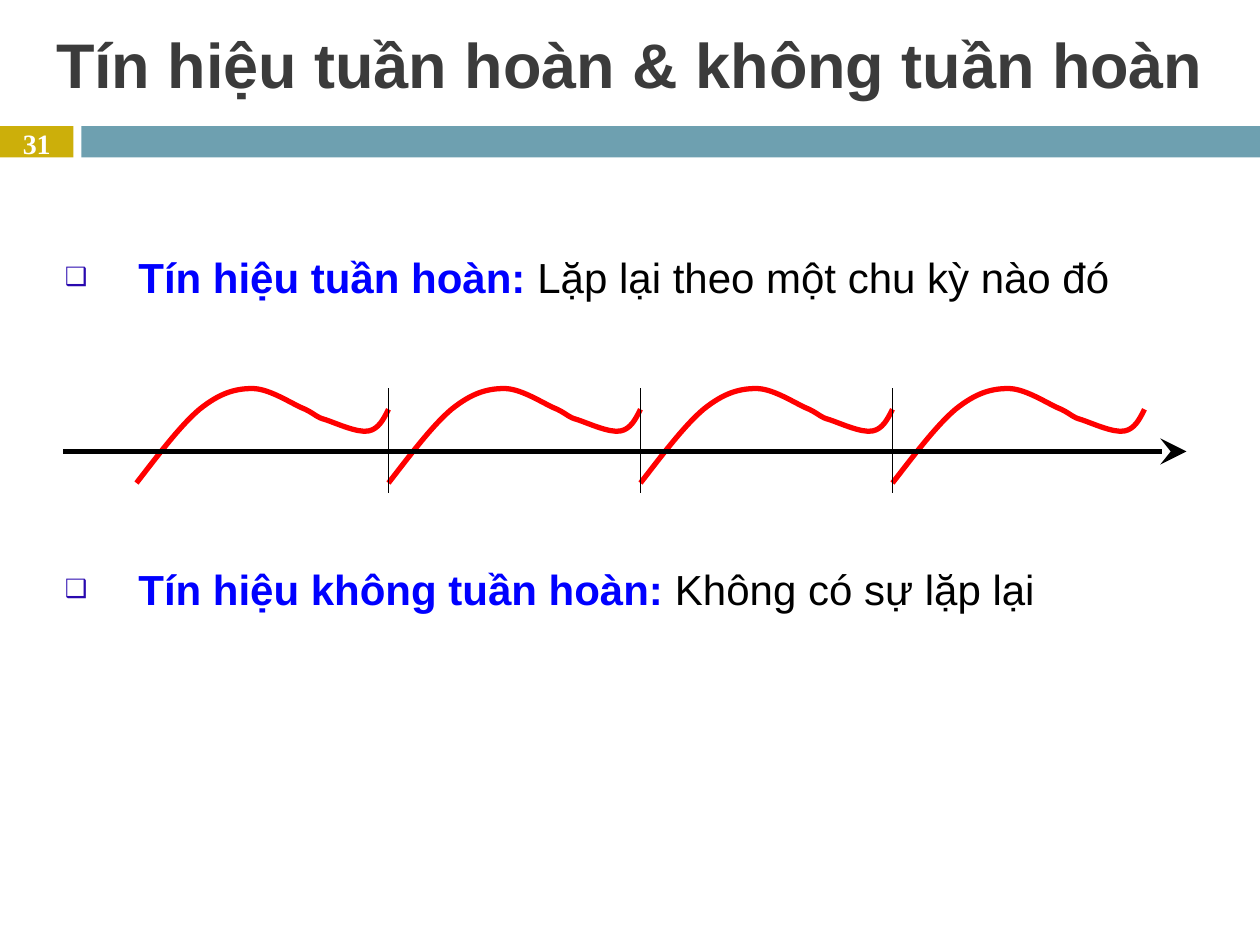
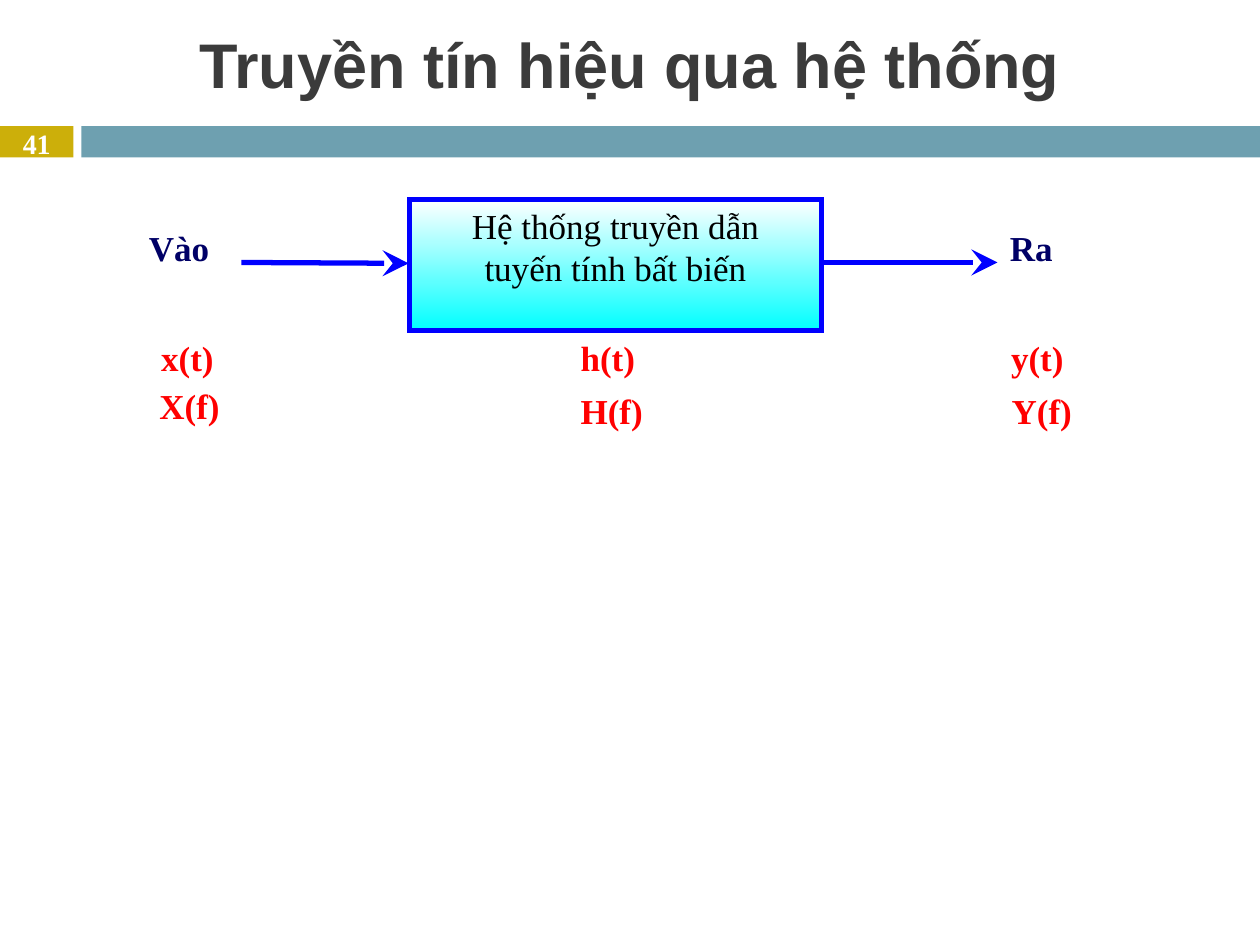
import pptx
import pptx.dml.color
import pptx.enum.shapes
import pptx.enum.text
import pptx.oxml
import pptx.oxml.ns
import pptx.util
from lxml import etree

Pt = pptx.util.Pt
ALIGN = pptx.enum.text.PP_ALIGN
ANCHOR = pptx.enum.text.MSO_ANCHOR
SHAPE = pptx.enum.shapes.MSO_SHAPE
LINE = pptx.enum.shapes.MSO_CONNECTOR
qn = pptx.oxml.ns.qn

SLIDE_W, SLIDE_H = 720, 540
COLORS = {
    "gold": "CCAF0A", "teal": "6EA0B0", "title": "3B3B3B", "white": "FFFFFF",
    "black": "000000", "blue": "0000FF", "navy": "000066", "red": "FF0000",
    "cyan": "00FFFF", "bullet": "2909AF",
}
SANS, SERIF = "Arial", "Times New Roman"

# One signal period as fractions of its box: start, then two controls and an end
PERIOD_START = (0, 1)
PERIOD_CURVES = [
    ((0.09, 0.69), (0.175, 0.39), (0.25, 0.22)),
    ((0.33, 0.05), (0.39, 0), (0.46, 0)),
    ((0.53, 0), (0.62, 0.17), (0.67, 0.22)),
    ((0.715, 0.28), (0.71, 0.3), (0.75, 0.33)),
    ((0.795, 0.37), (0.875, 0.47), (0.92, 0.45)),
    ((0.96, 0.43), (0.98, 0.33), (1, 0.22)),
]


def rgb(color):
    return pptx.dml.color.RGBColor.from_string(COLORS[color])


def add_run(paragraph, text, size, font, color, bold=False):
    run = paragraph.add_run()
    run.text = text
    run.font.size = Pt(size)
    run.font.name = font
    run.font.bold = bold
    run.font.color.rgb = rgb(color)


def set_frame(frame, anchor=ANCHOR.TOP, side=7.2, top=3.6):
    frame.word_wrap = True
    frame.vertical_anchor = anchor
    frame.margin_left = frame.margin_right = Pt(side)
    frame.margin_top = Pt(top)
    frame.margin_bottom = Pt(0)


def add_text(slide, box, text, size, font, color,
             align=ALIGN.LEFT, anchor=ANCHOR.TOP, side=7.2, top=0):
    frame = slide.shapes.add_textbox(*map(Pt, box)).text_frame
    set_frame(frame, anchor, side, top)
    paragraph = frame.paragraphs[0]
    paragraph.alignment = align
    add_run(paragraph, text, size, font, color, bold=True)


def add_line(slide, start, end, color, width, arrow=False):
    line = slide.shapes.add_connector(LINE.STRAIGHT, *map(Pt, start + end))
    line.line.color.rgb = rgb(color)
    line.line.width = Pt(width)
    if arrow:
        etree.SubElement(line.line._get_or_add_ln(), qn("a:tailEnd"),
                         type="stealth", w="lg", len="lg")
    etree.SubElement(line._element.spPr, qn("a:effectLst"))


def add_header(slide, title, number):
    # Two-part band under the title
    for left, width, color in ((0, 42, "gold"), (46.5, SLIDE_W - 46.5, "teal")):
        band = slide.shapes.add_shape(SHAPE.RECTANGLE, Pt(left), Pt(72), Pt(width), Pt(18))
        band.shadow.inherit = False
        band.fill.solid()
        band.fill.fore_color.rgb = rgb(color)
        band.line.fill.background()
    add_text(slide, (0, 6, SLIDE_W, 60), title, 36, SANS, "title",
             align=ALIGN.CENTER, anchor=ANCHOR.MIDDLE)
    add_text(slide, (0, 72, 42, 19.4), str(number), 16, SERIF, "white",
             align=ALIGN.CENTER, anchor=ANCHOR.MIDDLE, side=0)


def add_bullet(paragraph):
    props = paragraph._p.get_or_add_pPr()
    indent = Pt(42)
    props.set("marL", str(indent))
    props.set("indent", str(-indent))
    bullet_color = etree.SubElement(props, qn("a:buClr"))
    etree.SubElement(bullet_color, qn("a:srgbClr"), val=COLORS["bullet"])
    etree.SubElement(props, qn("a:buSzPct"), val="60000")
    etree.SubElement(props, qn("a:buFont"), typeface=SANS)
    etree.SubElement(props, qn("a:buChar"), char="❑")


def add_definitions(slide, box, definitions):
    frame = slide.shapes.add_textbox(*map(Pt, box)).text_frame
    set_frame(frame, top=42)
    for index, (term, meaning) in enumerate(definitions):
        paragraph = frame.add_paragraph() if index else frame.paragraphs[0]
        paragraph.line_spacing = 1.2
        if index:
            paragraph.space_before = Pt(143.5)  # room for the signal
        add_bullet(paragraph)
        add_run(paragraph, term, 24, SANS, "blue", bold=True)
        add_run(paragraph, meaning, 24, SANS, "black")


def add_period(slide, box):
    left, top, width, height = box
    fractions = [PERIOD_START] + [point for curve in PERIOD_CURVES for point in curve]
    points = [(Pt(left + x * width), Pt(top + y * height)) for x, y in fractions]
    builder = slide.shapes.build_freeform(*points[0])
    builder.add_line_segments(points[1:], close=False)
    wave = builder.convert_to_shape()
    # Join every three segments into one Bézier curve
    segments = list(wave._element.iter(qn("a:lnTo")))
    for first in range(0, len(segments), 3):
        curve = etree.Element(qn("a:cubicBezTo"))
        segments[first].addprevious(curve)
        for segment in segments[first:first + 3]:
            curve.append(segment[0])
            segment.getparent().remove(segment)
    wave.shadow.inherit = False
    wave.fill.background()
    wave.line.color.rgb = rgb("red")
    wave.line.width = Pt(3)


def add_periodic_signal(slide, box, periods=4):
    left, top, width, height = box
    period = width / periods
    for index in range(periods):
        add_period(slide, (left + index * period, top, period, height))
    # Period boundaries and time axis
    for index in range(1, periods):
        x = left + index * period
        add_line(slide, (x, top), (x, top + height + 6), "black", 0.75)
    axis = top + height * 2 / 3
    add_line(slide, (left - 42, axis), (left + width + 24, axis), "black", 3, arrow=True)


def add_system_block(slide, box):
    block = slide.shapes.add_shape(SHAPE.RECTANGLE, *map(Pt, box))
    block.shadow.inherit = False
    block.fill.gradient()
    block.fill.gradient_angle = 270
    for stop, color in zip(block.fill.gradient_stops, ("white", "cyan")):
        stop.color.rgb = rgb(color)
    block.line.color.rgb = rgb("blue")
    block.line.width = Pt(3)
    etree.SubElement(block.line._get_or_add_ln(), qn("a:miter"), lim="800000")
    frame = block.text_frame
    set_frame(frame, top=3)
    for index, text in enumerate(("Hệ thống truyền dẫn", "tuyến tính bất biến")):
        paragraph = frame.add_paragraph() if index else frame.paragraphs[0]
        paragraph.alignment = ALIGN.CENTER
        add_run(paragraph, text, 20, SERIF, "black")


def add_transmission(slide, box):
    left, top, width, height = box
    block_left, block_width = left + 156, 235.5
    block_right = block_left + block_width
    add_system_block(slide, (block_left, top, block_width, 75))

    # Input and output arrows
    axis = top + 36
    add_line(slide, (left + 60, axis), (block_left - 0.5, axis + 0.5), "blue", 3, arrow=True)
    add_line(slide, (block_right - 1.5, axis), (left + width - 78, axis),
             "blue", 3, arrow=True)

    # Labels: text, offset from the diagram's corner, colour
    labels = [
        ("Vào", 0, 12, "navy"), ("Ra", 492, 12, "navy"),
        ("x(t)", 7, 75, "red"), ("X(f)", 6, 102, "red"),
        ("h(t)", 246.7, 75, "red"), ("H(f)", 246.7, 105, "red"),
        ("y(t)", 492.7, 75, "red"), ("Y(f)", 493, 105, "red"),
    ]
    for text, dx, dy, color in labels:
        add_text(slide, (left + dx, top + dy, 72, 45), text, 20, SERIF, color, top=3.6)


def add_periodicity_slide(slide):
    add_header(slide, "Tín hiệu tuần hoàn & không tuần hoàn", 31)
    add_definitions(slide, (30, 96, 666, 384), [
        ("Tín hiệu tuần hoàn: ", "Lặp lại theo một chu kỳ nào đó"),
        ("Tín hiệu không tuần hoàn: ", "Không có sự lặp lại"),
    ])
    add_periodic_signal(slide, (78, 222, 576, 54))


def add_system_slide(slide):
    add_header(slide, "Truyền tín hiệu qua hệ thống", 41)
    add_transmission(slide, (78, 114, 570, 150))


def main():
    deck = pptx.Presentation()
    deck.slide_width, deck.slide_height = Pt(SLIDE_W), Pt(SLIDE_H)
    for build in (add_periodicity_slide, add_system_slide):
        build(deck.slides.add_slide(deck.slide_layouts[6]))
    deck.save("out.pptx")


if __name__ == "__main__":
    main()
